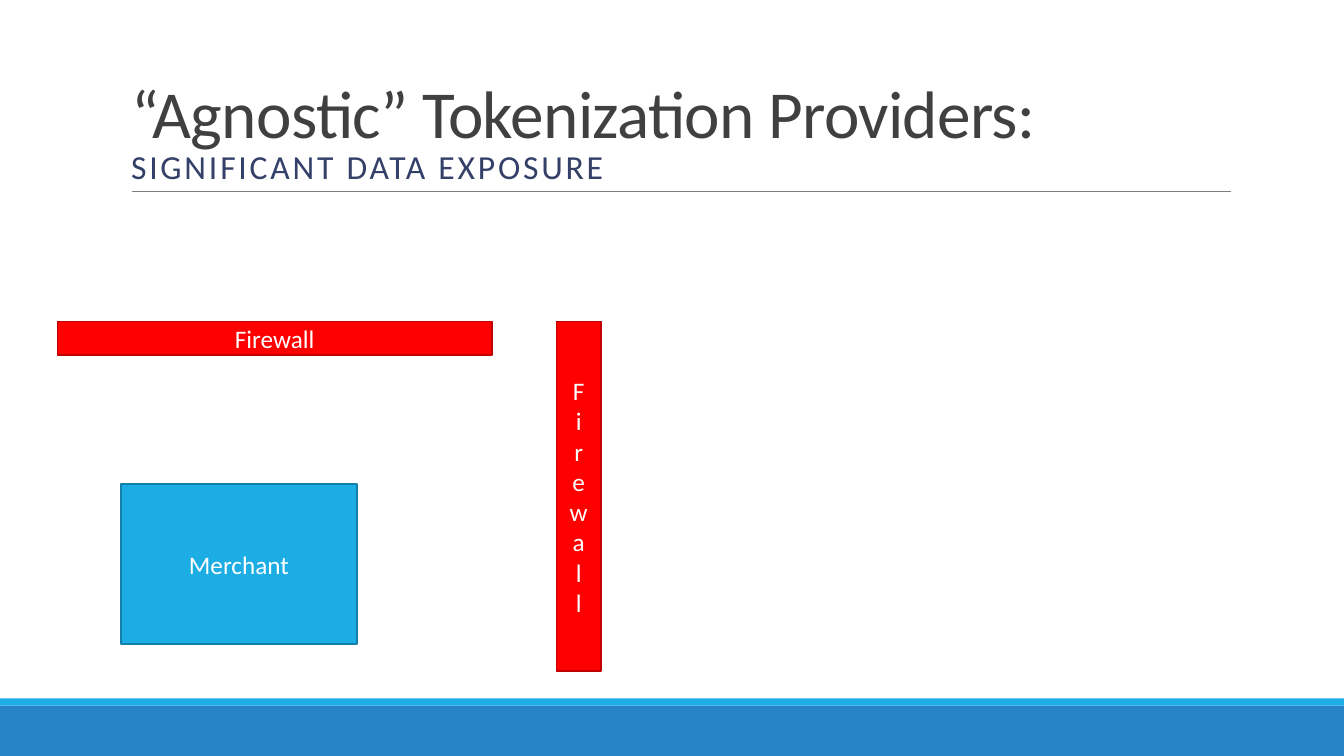
from collections import namedtuple

from lxml import etree
from pptx import Presentation
from pptx.dml.color import RGBColor
from pptx.enum.shapes import MSO_CONNECTOR, MSO_SHAPE
from pptx.enum.text import MSO_ANCHOR, MSO_AUTO_SIZE, PP_ALIGN
from pptx.oxml.ns import qn
from pptx.util import Inches, Pt

RECTANGLE, STRAIGHT = MSO_SHAPE.RECTANGLE, MSO_CONNECTOR.STRAIGHT
MIDDLE, BOTTOM = MSO_ANCHOR.MIDDLE, MSO_ANCHOR.BOTTOM
CENTER, LEFT = PP_ALIGN.CENTER, PP_ALIGN.LEFT
NO_AUTOFIT = MSO_AUTO_SIZE.NONE

FONT = "Calibri"
WHITE = RGBColor(0xFF, 0xFF, 0xFF)
CHARCOAL = RGBColor(0x40, 0x40, 0x40)
GREY = RGBColor(0x80, 0x80, 0x80)
NAVY = RGBColor(0x34, 0x40, 0x68)
BLUE = RGBColor(0x26, 0x83, 0xC6)
CYAN = RGBColor(0x1C, 0xAD, 0xE4)
DARK_CYAN = RGBColor(0x15, 0x80, 0xA9)
RED = RGBColor(0xFF, 0x00, 0x00)
DARK_RED = RGBColor(0xC0, 0x00, 0x00)

Box = namedtuple("Box", "left top width height")


def part(box, left, top, width, height):
    """Return the part of a box given in percent of its size."""
    return Box(
        round(box.left + box.width * left / 100),
        round(box.top + box.height * top / 100),
        round(box.width * width / 100),
        round(box.height * height / 100),
    )


def format_span(span, size, color, spacing=0):
    """Set font, size, colour and letter spacing (points) of a run."""
    span.font.name = FONT
    span.font.size = Pt(size)
    span.font.color.rgb = color
    if spacing:
        span.font._element.set("spc", str(round(spacing * 100)))


def add_block(page, box, fill, line=None, text=""):
    """Draw a rectangle with optional outline and centred label."""
    block = page.shapes.add_shape(RECTANGLE, *box)
    block.shadow.inherit = False
    block.fill.solid()
    block.fill.fore_color.rgb = fill
    if line is None:
        block.line.fill.background()
    else:
        block.line.color.rgb = line
        block.line.width = Pt(1.25)
    if text:
        frame = block.text_frame
        frame.text = text
        frame.vertical_anchor = MIDDLE
        for para in frame.paragraphs:
            para.alignment = CENTER
            for span in para.runs:
                format_span(span, 18, WHITE)


def add_footer(page, box):
    """Draw the wide band with its thin accent on top."""
    add_block(page, part(box, 0, 12.28, 100, 87.72), BLUE)
    add_block(page, part(box, 0, 0, 100, 12.28), CYAN)


def add_header(page, box):
    """Fill the title placeholder and underline it with a thin rule."""
    title = page.shapes.title
    title.left, title.top, title.width, title.height = box
    frame = title.text_frame
    frame.word_wrap = True
    frame.auto_size = NO_AUTOFIT
    frame.vertical_anchor = BOTTOM
    para = frame.paragraphs[0]
    para.text = "“Agnostic” Tokenization Providers:\vSIGNIFICANT DATA EXPOSURE"
    para.alignment = LEFT
    para.line_spacing = 0.85
    heading, subheading = para.runs
    format_span(heading, 48, CHARCOAL, -0.5)
    format_span(subheading, 24, NAVY, 2)

    rule_box = part(box, 1, 100, 99.09, 0)
    rule = page.shapes.add_connector(
        STRAIGHT, rule_box.left, rule_box.top,
        rule_box.left + rule_box.width, rule_box.top)
    rule.line.color.rgb = GREY
    rule.line.width = Pt(0.5)
    etree.SubElement(rule._element.spPr, qn("a:effectLst"))


def add_diagram(page, box):
    """Draw the merchant behind its horizontal and vertical firewalls."""
    add_block(page, part(box, 11.69, 46.4, 43.41, 45.82), CYAN, DARK_CYAN, "Merchant")
    add_block(page, part(box, 0, 0, 79.96, 9.51), RED, DARK_RED, "Firewall")
    add_block(page, part(box, 91.84, 0, 8.16, 100), RED, DARK_RED, "\n".join("Firewall"))


deck = Presentation()
deck.slide_width, deck.slide_height = Inches(13.33), Inches(7.5)
slide_box = Box(0, 0, deck.slide_width, deck.slide_height)
title_only = deck.slide_layouts[5]
page = deck.slides.add_slide(title_only)
page.background.fill.solid()
page.background.fill.fore_color.rgb = WHITE

add_footer(page, part(slide_box, 0, 92.4, 100, 7.6))
add_header(page, part(slide_box, 9, 4.13, 82.52, 21.2))
add_diagram(page, part(slide_box, 4.28, 42.53, 40.43, 46.27))
deck.save("out.pptx")
